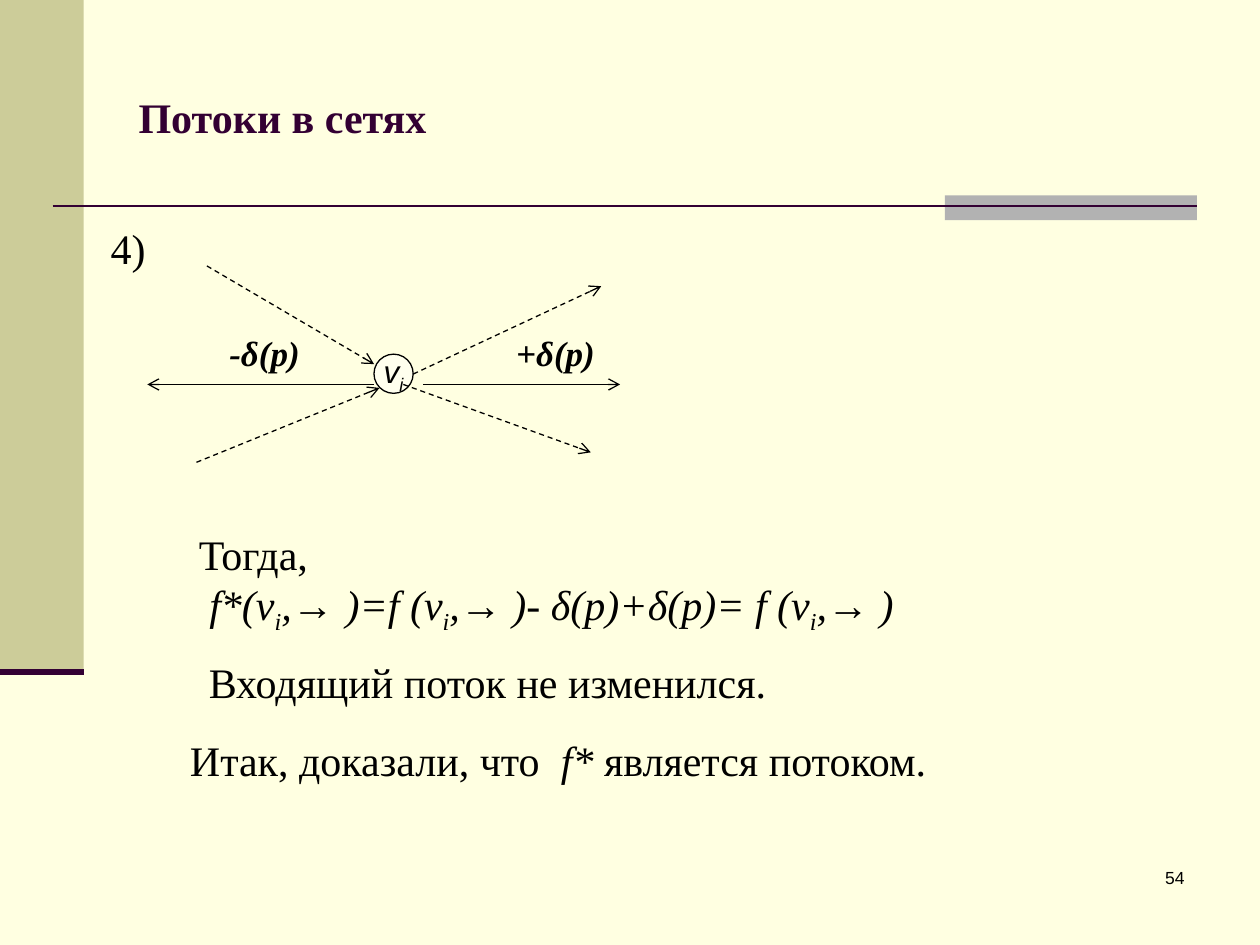
from lxml.etree import SubElement
from pptx import Presentation
from pptx.dml.color import RGBColor
from pptx.enum.dml import MSO_LINE
from pptx.enum.shapes import MSO_CONNECTOR, MSO_SHAPE
from pptx.enum.text import MSO_ANCHOR, MSO_AUTO_SIZE, PP_ALIGN
from pptx.oxml.ns import qn
from pptx.util import Cm, Pt

SERIF, SANS = "Times New Roman", "Arial"
BLACK, PLUM = "000000", "330033"
BACKGROUND, NODE_FILL = "FFFFE1", "FFFFEE"

BANDS = [
    ((0, 0, 1.69, 13.55), "CCCC99"),
    ((19.05, 3.94, 5.08, 0.5), "B2B2B2"),
]
RULES = [
    ((1.06, 4.15), (24.13, 4.15), 1.5),
    ((0, 13.55), (1.69, 13.55), 3.5),
]

TITLE = [[("Потоки в сетях", "bold", SERIF)]]
TITLE_BOX = (2.54, 0.76, 21.59, 3.18)

NODE_BOX = (7.54, 7.14, 0.79, 0.79)
NODE_LABEL = [[("v", "italic", SANS), ("i", "italic sub", SANS)]]

FLOW_ARROWS = [
    ((8.53, 7.75), (12.5, 7.75), False),
    ((7.54, 7.75), (2.97, 7.75), False),
    ((8.13, 7.75), (11.91, 9.12), True),
    ((8.33, 7.54), (12.12, 5.77), True),
    ((4.17, 5.36), (7.54, 7.34), True),
    ((3.96, 9.32), (7.65, 7.82), True),
]


def vertex_flow(start, arrow, end):
    return [
        (start + "(v", "italic", SERIF),
        ("i", "italic sub", SERIF),
        (",", "italic", SERIF),
        (arrow, "italic", SANS),
        (end, "italic", SERIF),
    ]


FORMULA = (
    vertex_flow(" f*", "→ ", ")=")
    + vertex_flow("f ", "→", " )- δ(p)+δ(p)= ")
    + vertex_flow("f ", "→", " )")
)

TEXTS = [
    ((1.98, 4.37, 1.4, 1.27), [[("4)", "", SERIF)]], 24, PP_ALIGN.LEFT, True),
    ((4.37, 6.55, 1.93, 1.12), [[("-δ(p)", "bold italic", SERIF)]], 20, PP_ALIGN.CENTER, False),
    ((10.11, 6.55, 2.18, 1.12), [[("+δ(p)", "bold italic", SERIF)]], 20, PP_ALIGN.CENTER, False),
    ((3.76, 10.52, 14.96, 2.31), [[("Тогда,", "", SERIF)], FORMULA], 24, PP_ALIGN.LEFT, False),
    ((3.96, 13.11, 18.85, 1.27), [[("Входящий поток не изменился.", "", SERIF)]], 24, PP_ALIGN.LEFT, True),
    (
        (3.58, 14.68, 18.85, 1.27),
        [[("Итак, доказали, что  ", "", SERIF), ("f* ", "italic", SERIF), ("является потоком.", "", SERIF)]],
        24, PP_ALIGN.LEFT, True,
    ),
    ((18.85, 17.35, 5.28, 1.27), [[("54", "", SANS)]], 10, PP_ALIGN.RIGHT, True),
]


def color(value):
    return RGBColor.from_string(value)


def box(values):
    return [Cm(value) for value in values]


def write(shape, paragraphs, size, alignment, wrap=True, ink=BLACK, anchor=MSO_ANCHOR.TOP):
    frame = shape.text_frame
    frame.word_wrap = wrap
    frame.auto_size = MSO_AUTO_SIZE.NONE
    frame.vertical_anchor = anchor
    for index, runs in enumerate(paragraphs):
        paragraph = frame.add_paragraph() if index else frame.paragraphs[0]
        paragraph.alignment = alignment
        for text, style, font_name in runs:
            run = paragraph.add_run()
            run.text = text
            font = run.font
            font.name = font_name
            font.size = Pt(size)
            font.color.rgb = color(ink)
            font.bold = "bold" in style
            font.italic = "italic" in style
            if "sub" in style:
                run._r.get_or_add_rPr().set("baseline", "-25000")


def add_filled(slide, kind, bounds, fill):
    shape = slide.shapes.add_shape(kind, *box(bounds))
    shape.shadow.inherit = False
    shape.fill.solid()
    shape.fill.fore_color.rgb = color(fill)
    shape.line.fill.background()
    return shape


def add_line(slide, start, end, width, ink):
    line = slide.shapes.add_connector(MSO_CONNECTOR.STRAIGHT, *box(start + end))
    line.line.width = Pt(width)
    line.line.color.rgb = color(ink)
    SubElement(line._element.spPr, qn("a:effectLst"))
    return line


def add_arrow(slide, start, end, dashed):
    arrow = add_line(slide, start, end, 0.75, BLACK)
    if dashed:
        arrow.line.dash_style = MSO_LINE.DASH
    SubElement(arrow.line._get_or_add_ln(), qn("a:tailEnd"), type="arrow")


def main():
    presentation = Presentation()
    presentation.slide_width, presentation.slide_height = Cm(25.4), Cm(19.05)
    slide = presentation.slides.add_slide(presentation.slide_layouts[5])
    slide.background.fill.solid()
    slide.background.fill.fore_color.rgb = color(BACKGROUND)

    for bounds, fill in BANDS:
        add_filled(slide, MSO_SHAPE.RECTANGLE, bounds, fill)
    for start, end, width in RULES:
        add_line(slide, start, end, width, PLUM)

    title = slide.shapes.title
    title.left, title.top, title.width, title.height = box(TITLE_BOX)
    write(title, TITLE, 24, PP_ALIGN.LEFT, ink=PLUM, anchor=MSO_ANCHOR.MIDDLE)

    node = add_filled(slide, MSO_SHAPE.FLOWCHART_CONNECTOR, NODE_BOX, NODE_FILL)
    node.line.color.rgb = color(BLACK)
    node.line.width = Pt(0.75)
    write(node, NODE_LABEL, 18, PP_ALIGN.CENTER, wrap=False, anchor=MSO_ANCHOR.MIDDLE)

    for start, end, dashed in FLOW_ARROWS:
        add_arrow(slide, start, end, dashed)
    for bounds, paragraphs, size, alignment, wrap in TEXTS:
        write(slide.shapes.add_textbox(*box(bounds)), paragraphs, size, alignment, wrap)

    presentation.save("out.pptx")


if __name__ == "__main__":
    main()
